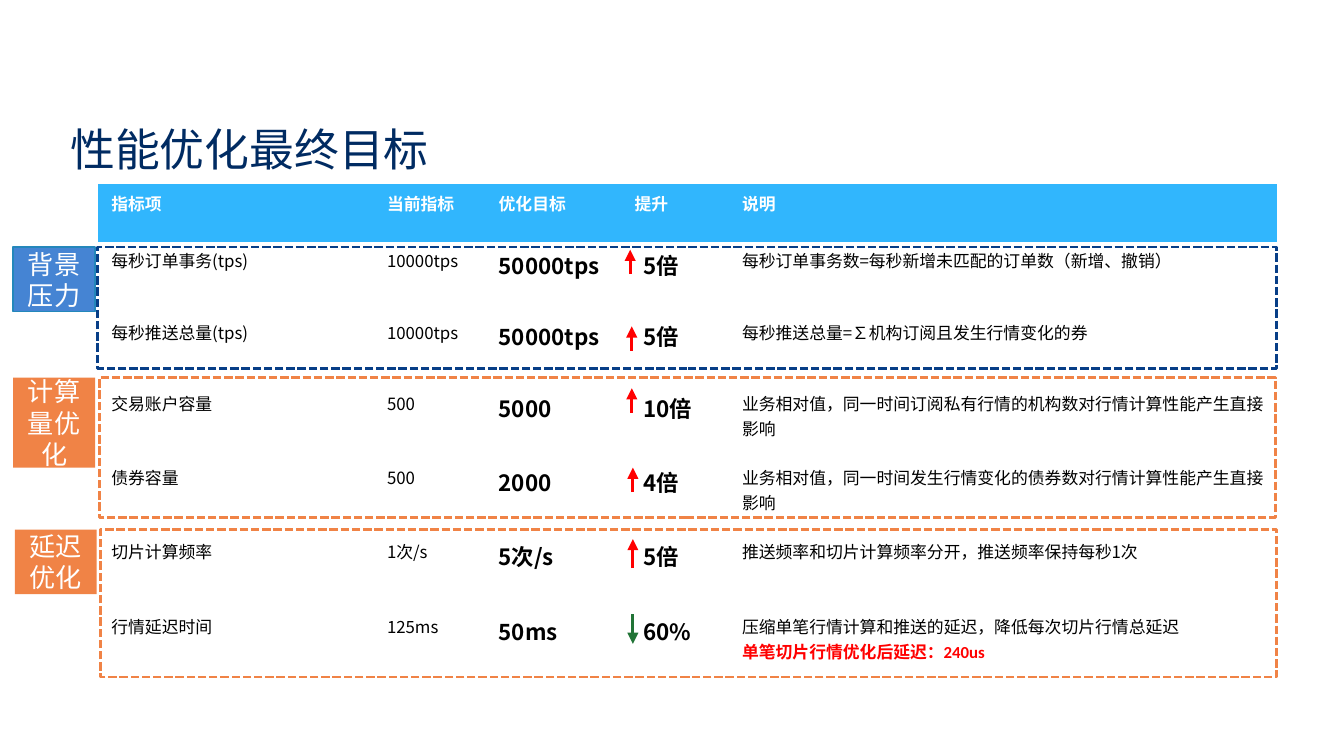
from lxml.etree import SubElement
from pptx import Presentation
from pptx.dml.color import RGBColor
from pptx.enum.dml import MSO_LINE
from pptx.enum.shapes import MSO_CONNECTOR, MSO_SHAPE
from pptx.enum.text import MSO_ANCHOR, PP_ALIGN
from pptx.oxml.ns import qn
from pptx.util import Cm, Pt

CJK_FONT = "Noto Sans CJK SC"
LATIN_FONT = "Calibri"
NAVY = RGBColor(0x00, 0x2B, 0x62)
SKY = RGBColor(0x31, 0xB6, 0xFD)
DEEP_BLUE = RGBColor(0x07, 0x3E, 0x87)
BLUE = RGBColor(0x45, 0x84, 0xD3)
BLUE_EDGE = RGBColor(0x24, 0x87, 0xBB)
ORANGE = RGBColor(0xF0, 0x83, 0x46)
RED = RGBColor(0xFF, 0x00, 0x00)
GREEN = RGBColor(0x21, 0x74, 0x36)
WHITE = RGBColor(0xFF, 0xFF, 0xFF)
BLACK = RGBColor(0x00, 0x00, 0x00)
NO_STYLE_NO_GRID = "{2D5ABB26-0587-4C30-8999-92F81FD0307C}"

TITLE = "性能优化最终目标"
HEADER = ["指标项", "当前指标", "优化目标", "提升", "说明"]
METRICS = [
    ["每秒订单事务(tps)", "10000tps", "50000tps", "5倍",
     "每秒订单事务数=每秒新增未匹配的订单数（新增、撤销）"],
    ["每秒推送总量(tps)", "10000tps", "50000tps", "5倍",
     "每秒推送总量=∑机构订阅且发生行情变化的券"],
    ["交易账户容量", "500", "5000", "10倍",
     "业务相对值，同一时间订阅私有行情的机构数对行情计算性能产生直接影响"],
    ["债券容量", "500", "2000", "4倍",
     "业务相对值，同一时间发生行情变化的债券数对行情计算性能产生直接影响"],
    ["切片计算频率", "1次/s", "5次/s", "5倍",
     "推送频率和切片计算频率分开，推送频率保持每秒1次"],
    ["行情延迟时间", "125ms", "50ms", "60%",
     "压缩单笔行情计算和推送的延迟，降低每次切片行情总延迟"],
]
LATENCY_RESULT = "单笔切片行情优化后延迟：240us"
COLUMN_WIDTHS = [5.21, 2.11, 2.57, 2.03, 10.36]
ROW_HEIGHTS = [1.09, 1.35, 1.35, 1.4, 1.4, 1.42, 1.93]
TARGET_COLUMN, GAIN_COLUMN = 2, 3

# label, label left and height, frame left, top, width and height, colours
GROUPS = [
    ("背景压力", 0.25, 1.22, (1.85, 4.67, 22.28, 2.29), BLUE, BLUE_EDGE, DEEP_BLUE),
    ("计算量优化", 0.25, 1.7, (1.88, 7.14, 22.23, 2.64), ORANGE, None, ORANGE),
    ("延迟优化", 0.28, 1.22, (1.9, 10.01, 22.23, 2.79), ORANGE, None, ORANGE),
]
# x, start y, end y, colour
ARROWS = [
    (11.91, 5.18, 4.72, RED),
    (11.94, 6.63, 6.17, RED),
    (11.94, 7.8, 7.34, RED),
    (11.96, 9.3, 8.84, RED),
    (11.96, 10.74, 10.19, RED),
    (11.96, 11.61, 12.17, GREEN),
]


def write(paragraph, text, size, color, bold=False, font=CJK_FONT):
    run = paragraph.add_run()
    run.text = text
    run.font.color.rgb = color
    for name, value in {"size": Pt(size), "bold": bold, "name": font}.items():
        setattr(run.font, name, value)
    SubElement(run.font._element, qn("a:ea"), typeface=CJK_FONT)


def add_title(slide):
    frame = slide.shapes.add_textbox(Cm(1.14), Cm(2.18), Cm(22.02), Cm(1.4)).text_frame
    layout = {"word_wrap": True, "vertical_anchor": MSO_ANCHOR.MIDDLE,
              "margin_left": Cm(0.19), "margin_right": Cm(0.19),
              "margin_top": Cm(0.1), "margin_bottom": Cm(0.1)}
    for name, value in layout.items():
        setattr(frame, name, value)
    frame.paragraphs[0].line_spacing = 0.9
    write(frame.paragraphs[0], TITLE, 24, NAVY)


def add_metrics_table(slide):
    rows = [HEADER] + METRICS
    table = slide.shapes.add_table(
        len(rows), len(HEADER), Cm(1.85), Cm(3.48),
        Cm(sum(COLUMN_WIDTHS)), Cm(sum(ROW_HEIGHTS))).table
    table.horz_banding = False
    table._tbl.tblPr.find(qn("a:tableStyleId")).text = NO_STYLE_NO_GRID
    for column, width in zip(table.columns, COLUMN_WIDTHS):
        column.width = Cm(width)
    for row, height in zip(table.rows, ROW_HEIGHTS):
        row.height = Cm(height)

    for r, texts in enumerate(rows):
        is_header = r == 0
        for c, text in enumerate(texts):
            cell = table.cell(r, c)
            cell.fill.solid()
            cell.fill.fore_color.rgb = SKY if is_header else WHITE
            emphasized = not is_header and c in (TARGET_COLUMN, GAIN_COLUMN)
            # Room for the arrow in front of each gain
            if emphasized and c == GAIN_COLUMN:
                cell.margin_left = Cm(0.42)
            write(cell.text_frame.paragraphs[0], text, 12 if emphasized else 9,
                  WHITE if is_header else BLACK, is_header or emphasized)

    # Measured result under the last description
    result = table.cell(len(rows) - 1, len(HEADER) - 1).text_frame.add_paragraph()
    write(result, LATENCY_RESULT, 9, RED, True, LATIN_FONT)


def add_box(slide, left, top, width, height, fill=None, edge=None, edge_width=1.0):
    box = slide.shapes.add_shape(
        MSO_SHAPE.RECTANGLE, Cm(left), Cm(top), Cm(width), Cm(height))
    box.shadow.inherit = False
    for part, color in ((box.fill, fill), (box.line.fill, edge)):
        if color is None:
            part.background()
        else:
            part.solid()
            part.fore_color.rgb = color
    if edge is not None:
        box.line.width = Pt(edge_width)
    return box


def add_group(slide, label, label_left, label_height, frame, fill, edge, frame_color):
    outline = add_box(slide, *frame, edge=frame_color, edge_width=1.5)
    outline.line.dash_style = MSO_LINE.SQUARE_DOT
    tag = add_box(slide, label_left, frame[1], 1.55, label_height, fill, edge)
    tag.text_frame.word_wrap = True
    tag.text_frame.vertical_anchor = MSO_ANCHOR.MIDDLE
    paragraph = tag.text_frame.paragraphs[0]
    paragraph.alignment = PP_ALIGN.CENTER
    write(paragraph, label, 14, WHITE, font=LATIN_FONT)


def add_arrow(slide, x, start, end, color):
    arrow = slide.shapes.add_connector(
        MSO_CONNECTOR.STRAIGHT, Cm(x), Cm(start), Cm(x), Cm(end))
    arrow.line.color.rgb = color
    arrow.line.width = Pt(1.5)
    SubElement(arrow.line._get_or_add_ln(), qn("a:tailEnd"), type="triangle")
    SubElement(arrow._element.spPr, qn("a:effectLst"))


def main():
    deck = Presentation()
    deck.slide_width, deck.slide_height = Cm(25.4), Cm(14.29)
    slide = deck.slides.add_slide(deck.slide_layouts[6])

    # Title and table
    add_title(slide)
    add_metrics_table(slide)

    # Dashed groups with their labels
    for group in GROUPS:
        add_group(slide, *group)

    # Direction of each change
    for arrow in ARROWS:
        add_arrow(slide, *arrow)

    deck.save("out.pptx")


if __name__ == "__main__":
    main()
